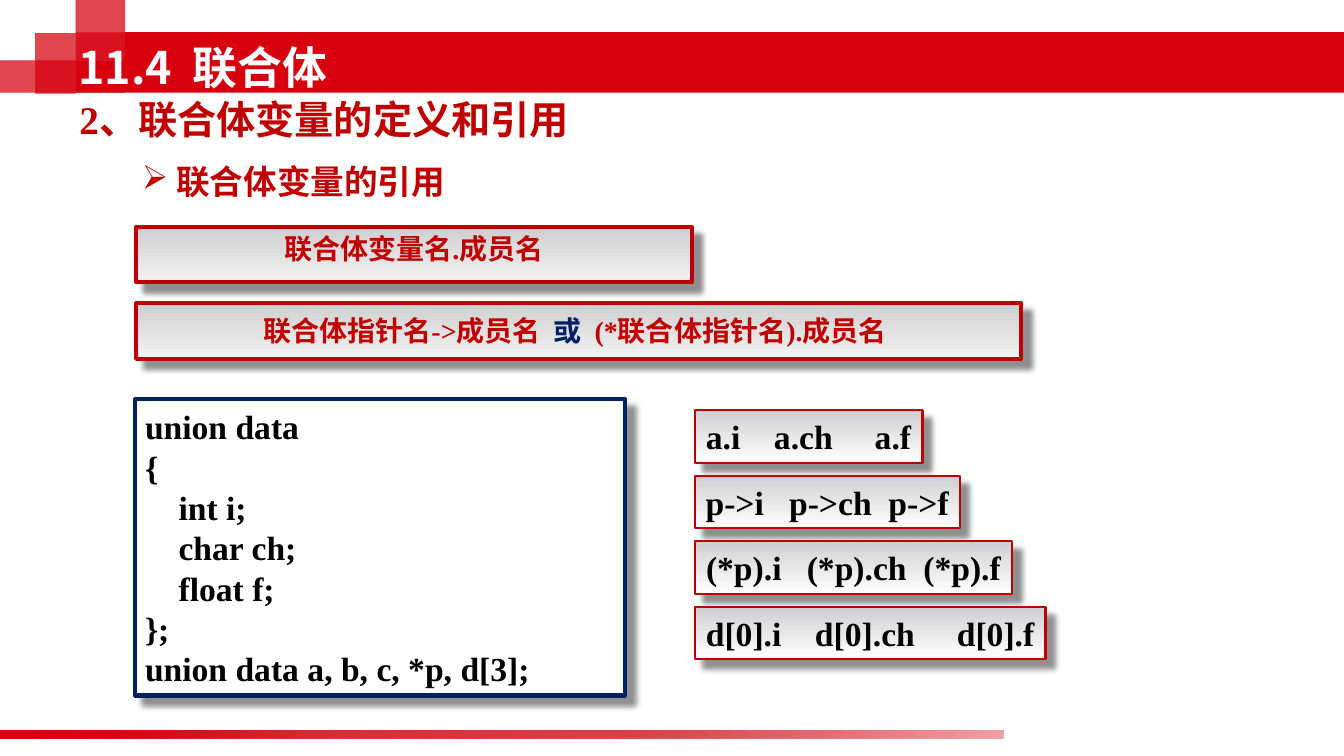
from pptx import Presentation
from pptx.dml.color import RGBColor
from pptx.enum.shapes import MSO_SHAPE
from pptx.enum.text import MSO_ANCHOR, MSO_AUTO_SIZE, PP_ALIGN
from pptx.oxml import parse_xml
from pptx.oxml.ns import nsdecls, qn
from pptx.util import Emu, Pt

PX = 9144  # 100 px to the inch
RED = RGBColor(0xD7, 0x00, 0x0F)
DARK = RGBColor(0xC0, 0x00, 0x00)
NAVY = RGBColor(0x00, 0x20, 0x60)
BLACK = RGBColor(0x00, 0x00, 0x00)
WHITE = RGBColor(0xFF, 0xFF, 0xFF)
GREY = RGBColor(0xCF, 0xCF, 0xD1)
PALE = RGBColor(0xF2, 0xF2, 0xF2)

SERIF = "Times New Roman"
SANS = "Noto Sans CJK SC"


def node(xml):
    """Build a drawing element from its tag and content."""
    tag, rest = xml[1:].split(" ", 1)
    return parse_xml(f"<{tag} {nsdecls('a')} {rest}")


class Deck:
    def __init__(self, width, height):
        self.prs = Presentation()
        self.prs.slide_width = Emu(width * PX)
        self.prs.slide_height = Emu(height * PX)
        self.slide = self.prs.slides.add_slide(self.prs.slide_layouts[6])

    def rect(self, at, color=None, alpha=100):
        """Plain rectangle without line or shadow."""
        shape = self.slide.shapes.add_shape(
            MSO_SHAPE.RECTANGLE, *[Emu(n * PX) for n in at])
        shape.line.fill.background()
        shape.shadow.inherit = False
        if color is not None:
            shape.fill.solid()
            shape.fill.fore_color.rgb = color
        if alpha < 100:
            tint = shape.element.spPr.find(".//" + qn("a:srgbClr"))
            tint.append(node(f'<a:alpha val="{alpha * 1000}"/>'))
        return shape

    def fade(self, shape, stops, angle):
        """Gradient from (place, colour, opacity) stops."""
        marks = "".join(
            f'<a:gs pos="{place * 1000}"><a:srgbClr val="{color}">'
            f'<a:alpha val="{alpha * 1000}"/></a:srgbClr></a:gs>'
            for place, color, alpha in stops)
        grad = node(f'<a:gradFill rotWithShape="1"><a:gsLst>{marks}</a:gsLst>'
                    f'<a:lin ang="{angle * 60000}" scaled="0"/></a:gradFill>')
        shape.element.spPr.find(qn("a:prstGeom")).addnext(grad)

    def panel(self, at, edge, weight, end=None):
        """Framed box with a drop shadow, grey to end or plain white."""
        shape = self.rect(at, WHITE if end is None else None)
        if end is not None:
            self.fade(shape, [(0, GREY, 100), (100, end, 100)], 90)
        shape.line.color.rgb = edge
        shape.line.width = Pt(weight)
        shape.element.spPr.find(qn("a:effectLst")).append(node(
            f'<a:outerShdw blurRad="{Pt(4)}" dist="{Pt(8.4)}" dir="2700000" '
            'algn="tl" rotWithShape="0"><a:srgbClr val="000000">'
            '<a:alpha val="43000"/></a:srgbClr></a:outerShdw>'))
        return shape

    def style(self, run, size, color, bold=True, face=SERIF):
        font = run.font
        font.size, font.bold, font.name = Pt(size), bold, face
        font.color.rgb = color
        run._r.rPr.find(qn("a:latin")).addnext(
            node(f'<a:ea typeface="{SANS}"/>'))

    def fit(self, shape, text, size, color, align=PP_ALIGN.LEFT,
            anchor=MSO_ANCHOR.MIDDLE, wrap=True, face=SERIF, pitch=None):
        """Set the text of a shape and return its first paragraph."""
        frame = shape.text_frame
        frame.text = text
        frame.word_wrap = wrap
        frame.vertical_anchor = anchor
        frame.auto_size = (MSO_AUTO_SIZE.NONE if wrap
                           else MSO_AUTO_SIZE.SHAPE_TO_FIT_TEXT)
        for para in frame.paragraphs:
            para.alignment = align
            if pitch:
                para.line_spacing = Pt(pitch)
            for run in para.runs:
                self.style(run, size, color, face=face)
        return frame.paragraphs[0]

    def label(self, at, text, size, color, wrap=False, face=SERIF):
        box = self.slide.shapes.add_textbox(*[Emu(n * PX) for n in at])
        return self.fit(box, text, size, color, wrap=wrap, face=face)


def main():
    deck = Deck(1333, 750)

    # Header band, layered corner squares and footer bar
    deck.rect((124, 32, 1209, 60), RED)
    squares = [(0, 60, 124, 32), (35, 33, 40, 60),
               (75, -2, 49, 62), (75, 32, 49, 28)]
    for _ in range(2):
        for square in squares:
            deck.rect(square, RED, 48)
        bar = deck.rect((-2, 725, 997, 8))
        deck.fade(bar, [(0, RED, 100), (31, RED, 60),
                        (64, RED, 50), (100, RED, 20)], 40)
    deck.rect((75, 60, 49, 32), RED)

    # Headings
    deck.label((68, 33, 890, 67), "11.4  联合体", 32, WHITE, True, SANS)
    deck.label((69, 89, 523, 57), "2、联合体变量的定义和引用", 28, DARK)
    topic = deck.label((131, 155, 335, 50), " 联合体变量的引用", 24, DARK)
    props = topic._p.get_or_add_pPr()
    props.append(node('<a:buChar char="➢"/>'))
    props.append(node('<a:tabLst ><a:tab pos="530352" algn="l"/></a:tabLst>'))

    # Access rules
    rule = deck.panel((135, 225, 551, 55), DARK, 3, PALE)
    deck.fit(rule, "联合体变量名.成员名", 20, DARK,
             PP_ALIGN.CENTER, MSO_ANCHOR.TOP)
    rule = deck.panel((135, 301, 878, 55), DARK, 3, PALE)
    para = deck.fit(rule, "联合体指针名->成员名  ", 20, DARK,
                    PP_ALIGN.CENTER, MSO_ANCHOR.TOP)
    for text, size, color, bold in [("或  ", 20, NAVY, True),
                                    ("(*联合体指针名).成员名", 20, DARK, True),
                                    (" ", 24, DARK, False)]:
        run = para.add_run()
        run.text = text
        deck.style(run, size, color, bold)

    # Declaration code
    code = """union data
{
    int i;
    char ch;
    float f;
};
union data a, b, c, *p, d[3];"""
    deck.fit(deck.panel((134, 396, 486, 294), NAVY, 3), code, 24, BLACK,
             pitch=28.8)

    # Member access samples
    samples = [("a.i    a.ch     a.f", 226), ("p->i   p->ch  p->f", 263),
               ("(*p).i   (*p).ch  (*p).f", 315),
               ("d[0].i    d[0].ch     d[0].f", 348)]
    for row, (text, width) in enumerate(samples):
        box = deck.panel((689, 407 + 65 * row, width, 52), DARK, 1.5, WHITE)
        deck.fit(box, text, 24, BLACK, PP_ALIGN.CENTER, wrap=False)

    deck.prs.save("out.pptx")


if __name__ == "__main__":
    main()
